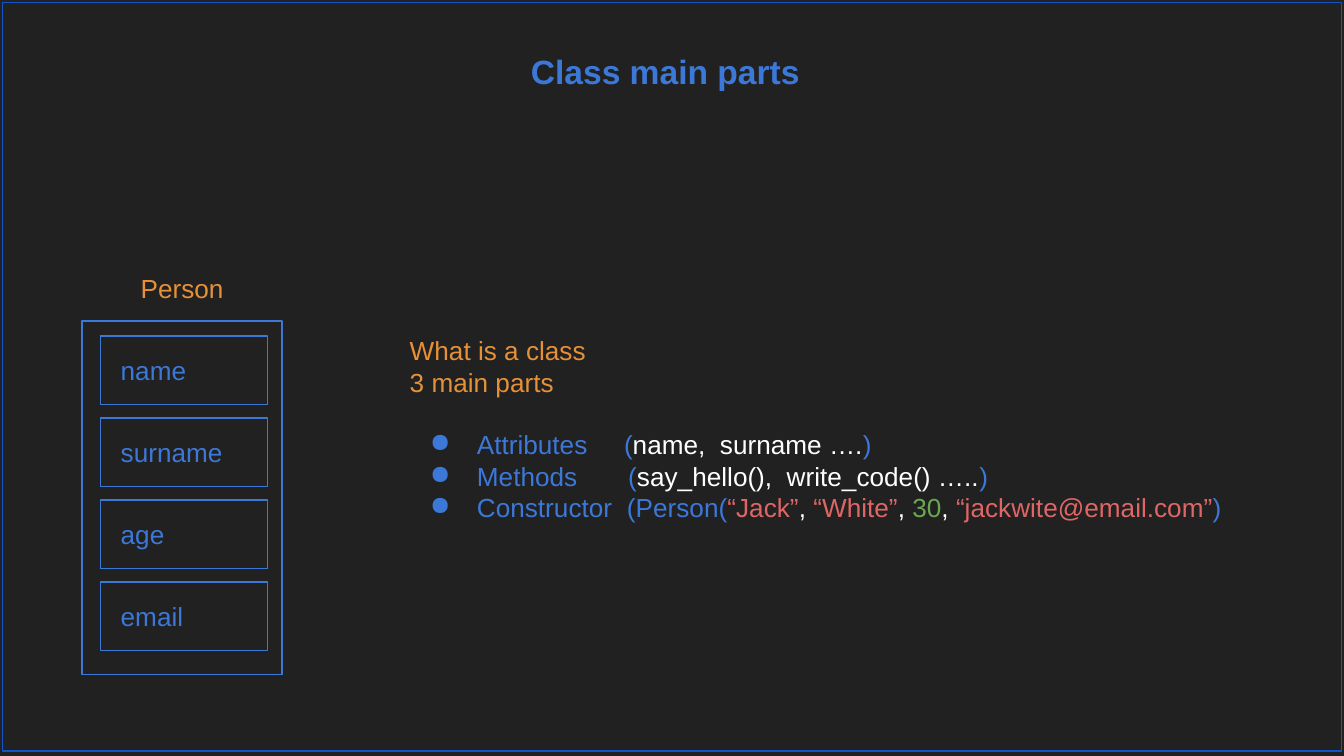
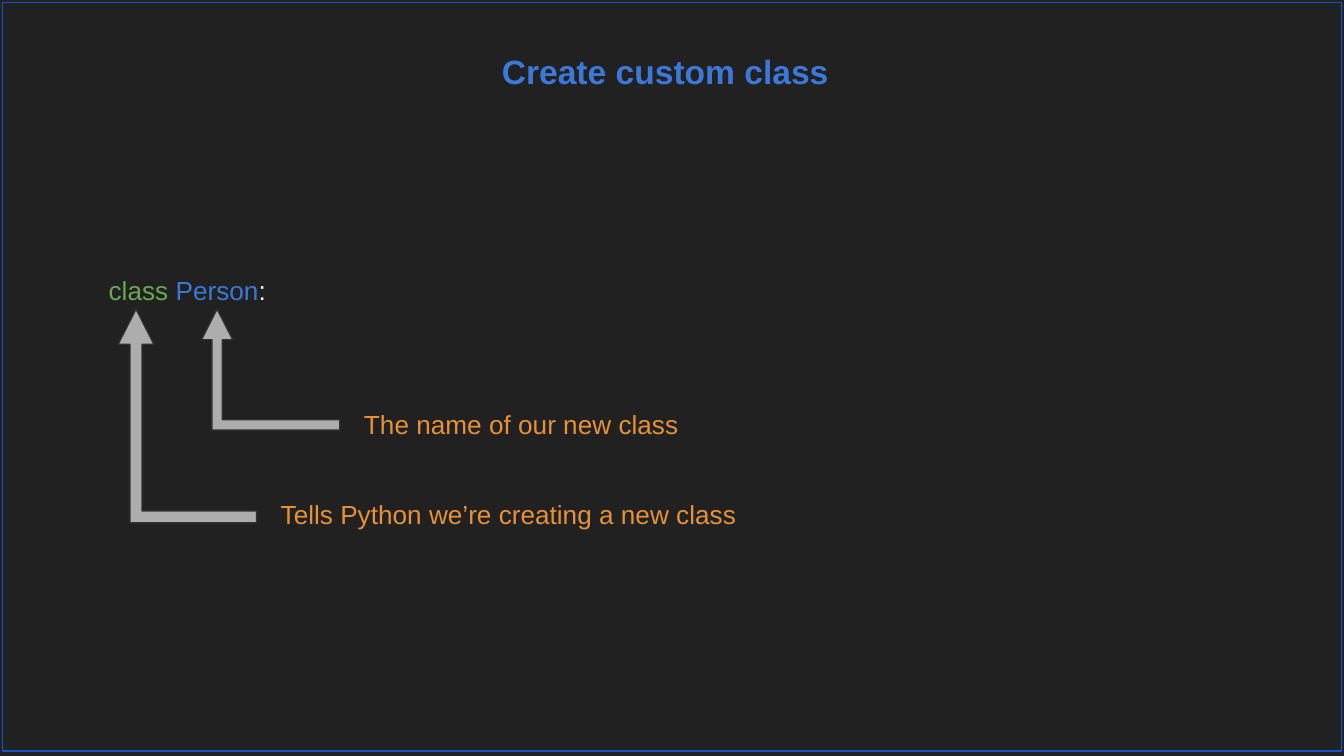
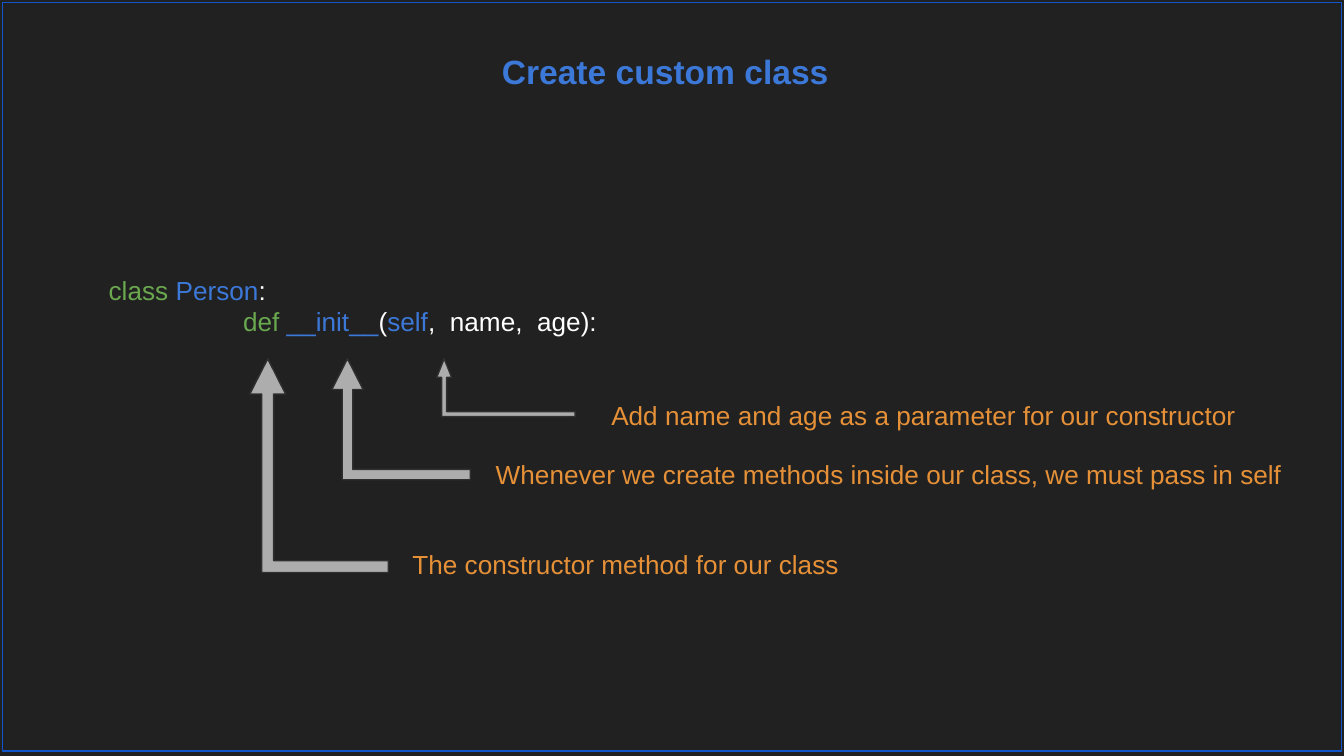
from dataclasses import dataclass
from typing import Sequence

from lxml import etree
from pptx import Presentation
from pptx import util as u
from pptx.dml.color import RGBColor
from pptx.enum import shapes, text
from pptx.oxml.ns import qn

# Shared look
FONT = "Arial"
BACKGROUND = RGBColor(0x21, 0x21, 0x21)
BLUE = RGBColor(0x3C, 0x78, 0xD8)
FRAME_BLUE = RGBColor(0x11, 0x55, 0xCC)
ORANGE = RGBColor(0xE6, 0x91, 0x38)
GREEN = RGBColor(0x6A, 0xA8, 0x4F)
RED = RGBColor(0xE0, 0x66, 0x66)
WHITE = RGBColor(0xFF, 0xFF, 0xFF)
ARROW_GRAY = RGBColor(0xAD, 0xAD, 0xAD)
ARROW_EDGE = RGBColor(0x30, 0x30, 0x30)
BODY_SIZE = 14
LINE_PITCH = 16.8
LABEL_HEIGHT = 0.44


@dataclass(frozen=True)
class Span:
    """A stretch of text; spacing widens its characters, in points."""
    words: str
    color: RGBColor
    spacing: float = 0


@dataclass(frozen=True)
class Line:
    spans: Sequence[Span]
    bullet: bool = False
    indent: float = 0
    space_before: float = 0
    align: text.PP_ALIGN = text.PP_ALIGN.LEFT


@dataclass(frozen=True)
class Callout:
    """A bent arrow pointing up, and the remark at its tail."""
    left: float
    top: float
    height: float
    remark: str
    remark_left: float
    remark_top: float
    remark_width: float
    head_length: float = 0.254


def set_insets(frame) -> None:
    frame.margin_left = frame.margin_right = u.Inches(0.1)
    frame.margin_top = frame.margin_bottom = u.Inches(0.1)
    frame.word_wrap = True
    frame.vertical_anchor = text.MSO_ANCHOR.TOP


def add_bullet(paragraph) -> None:
    properties = paragraph._p.get_or_add_pPr()
    properties.set("marL", str(u.Inches(0.5)))
    properties.set("indent", str(u.Inches(-0.35)))
    color = etree.SubElement(properties, qn("a:buClr"))
    etree.SubElement(color, qn("a:srgbClr"), val=str(BLUE))
    etree.SubElement(properties, qn("a:buChar"), char="●")


def add_lines(slide, left: float, top: float, width: float, height: float,
              lines: Sequence[Line]) -> None:
    box = slide.shapes.add_textbox(*map(u.Inches, (left, top, width, height)))
    frame = box.text_frame
    set_insets(frame)
    frame.auto_size = text.MSO_AUTO_SIZE.SHAPE_TO_FIT_TEXT
    for number, line in enumerate(lines):
        paragraph = frame.add_paragraph() if number else frame.paragraphs[0]
        paragraph.alignment = line.align
        paragraph.line_spacing = u.Pt(LINE_PITCH)
        paragraph.space_before = u.Pt(line.space_before)
        if line.indent:
            paragraph._p.get_or_add_pPr().set("marL", str(u.Inches(line.indent)))
        if line.bullet:
            add_bullet(paragraph)
        for span in line.spans:
            run = paragraph.add_run()
            run.text = span.words
            run.font.name = FONT
            run.font.size = u.Pt(BODY_SIZE)
            run.font.color.rgb = span.color
            if span.spacing:
                run._r.get_or_add_rPr().set("spc", str(round(span.spacing * 100)))


def add_label(slide, left: float, top: float, width: float, words: str,
              color: RGBColor, align: text.PP_ALIGN = text.PP_ALIGN.LEFT) -> None:
    add_lines(slide, left, top, width, LABEL_HEIGHT,
              [Line([Span(words, color)], align=align)])


def add_outline(slide, left: float, top: float, width: float, height: float,
                color: RGBColor = BLUE) -> None:
    outline = slide.shapes.add_shape(shapes.MSO_SHAPE.RECTANGLE,
                                     *map(u.Inches, (left, top, width, height)))
    outline.shadow.inherit = False
    outline.fill.background()
    outline.line.color.rgb = color
    outline.line.width = u.Pt(0.75)


def add_callout(slide, callout: Callout) -> None:
    arrow = slide.shapes.add_shape(
        shapes.MSO_SHAPE.BENT_UP_ARROW,
        *map(u.Inches, (callout.left, callout.top, 1.03, callout.height)))
    arrow.shadow.inherit = False
    for index, value in enumerate((0.086, 0.129, callout.head_length)):
        arrow.adjustments[index] = value
    arrow._element.spPr.xfrm.set("flipH", "1")
    arrow.fill.solid()
    arrow.fill.fore_color.rgb = ARROW_GRAY
    arrow.line.color.rgb = ARROW_EDGE
    arrow.line.width = u.Pt(0.75)
    add_label(slide, callout.remark_left, callout.remark_top,
              callout.remark_width, callout.remark, ORANGE)


def add_titled_slide(deck, heading: str):
    slide = deck.slides.add_slide(deck.slide_layouts[5])
    title = slide.shapes.title
    title.left, title.top, title.width, title.height = map(
        u.Inches, (-0.05, 0.28, 10, 0.63))
    frame = title.text_frame
    frame.text = heading
    set_insets(frame)
    frame.auto_size = text.MSO_AUTO_SIZE.NONE
    paragraph = frame.paragraphs[0]
    paragraph.alignment = text.PP_ALIGN.CENTER
    font = paragraph.runs[0].font
    font.name, font.size, font.bold = FONT, u.Pt(18), True
    font.color.rgb = BLUE
    add_outline(slide, 0.02, 0.02, 9.96, 5.57, FRAME_BLUE)
    return slide


def part_line(part: str, gap: float, details: Sequence[Span],
              space_before: float = 0) -> Line:
    """A bulleted part; one widened space lines up its details."""
    return Line([Span(part, BLUE), Span(" ", BLUE, gap), *details,
                 Span(")", BLUE)], bullet=True, space_before=space_before)


deck = Presentation()
deck.slide_width, deck.slide_height = u.Inches(10), u.Inches(5.625)
deck.slide_master.background.fill.solid()
deck.slide_master.background.fill.fore_color.rgb = BACKGROUND

# Slide 1: the Person diagram and the three parts of a class
parts = add_titled_slide(deck, "Class main parts")
add_label(parts, 0.61, 1.93, 1.49, "Person", ORANGE, text.PP_ALIGN.CENTER)
add_outline(parts, 0.61, 2.39, 1.49, 2.63)
for row, attribute in enumerate(("name", "surname", "age", "email")):
    row_top = 2.5 + 0.61 * row
    add_outline(parts, 0.75, row_top, 1.24, 0.51)
    add_label(parts, 0.8, row_top + 0.04, 1.13, attribute, BLUE)

comma = Span(", ", WHITE)
add_lines(parts, 2.95, 2.39, 6.55, 1.62, [
    Line([Span("What is a class", ORANGE)]),
    Line([Span("3 main parts", ORANGE)]),
    part_line("Attributes", 15.6,
              [Span("(", BLUE), Span("name,  surname ….", WHITE)],
              space_before=LINE_PITCH),
    part_line("Methods", 23.3,
              [Span("(", BLUE), Span("say_hello(),  write_code() …..", WHITE)]),
    part_line("Constructor", 3.9,
              [Span("(Person(", BLUE), Span("“Jack”", RED), comma,
               Span("“White”", RED), comma, Span("30", GREEN), comma,
               Span("“jackwite@email.com”", RED)]),
])

# Slide 2: the class statement
class_line = Line([Span("class ", GREEN), Span("Person", BLUE), Span(":", WHITE)])
statement = add_titled_slide(deck, "Create custom class")
add_lines(statement, 0.71, 1.94, 9.31, LABEL_HEIGHT, [class_line])
for callout in (
    Callout(0.88, 2.3, 1.59, "Tells Python we’re creating a new class", 1.99, 3.61, 4.68),
    Callout(1.5, 2.3, 0.9, "The name of our new class", 2.61, 2.94, 3.28),
):
    add_callout(statement, callout)

# Slide 3: the constructor
constructor = add_titled_slide(deck, "Create custom class")
init_line = Line([Span("def ", GREEN), Span("__init__", BLUE), Span("(", WHITE),
                  Span("self", BLUE), Span(",  name,  age):", WHITE)], indent=1)
add_lines(constructor, 0.71, 1.94, 9.31, 0.67, [class_line, init_line])
for callout in (
    Callout(1.86, 2.67, 1.59, "The constructor method for our class", 2.97, 3.98, 4.68),
    Callout(2.47, 2.67, 0.9,
            "Whenever we create methods inside our class, we must pass in self",
            3.59, 3.31, 6.34),
    Callout(3.25, 2.67, 0.43, "Add name and age as a parameter for our constructor",
            4.45, 2.87, 5.03, head_length=0.323),
):
    add_callout(constructor, callout)

deck.save("out.pptx")
